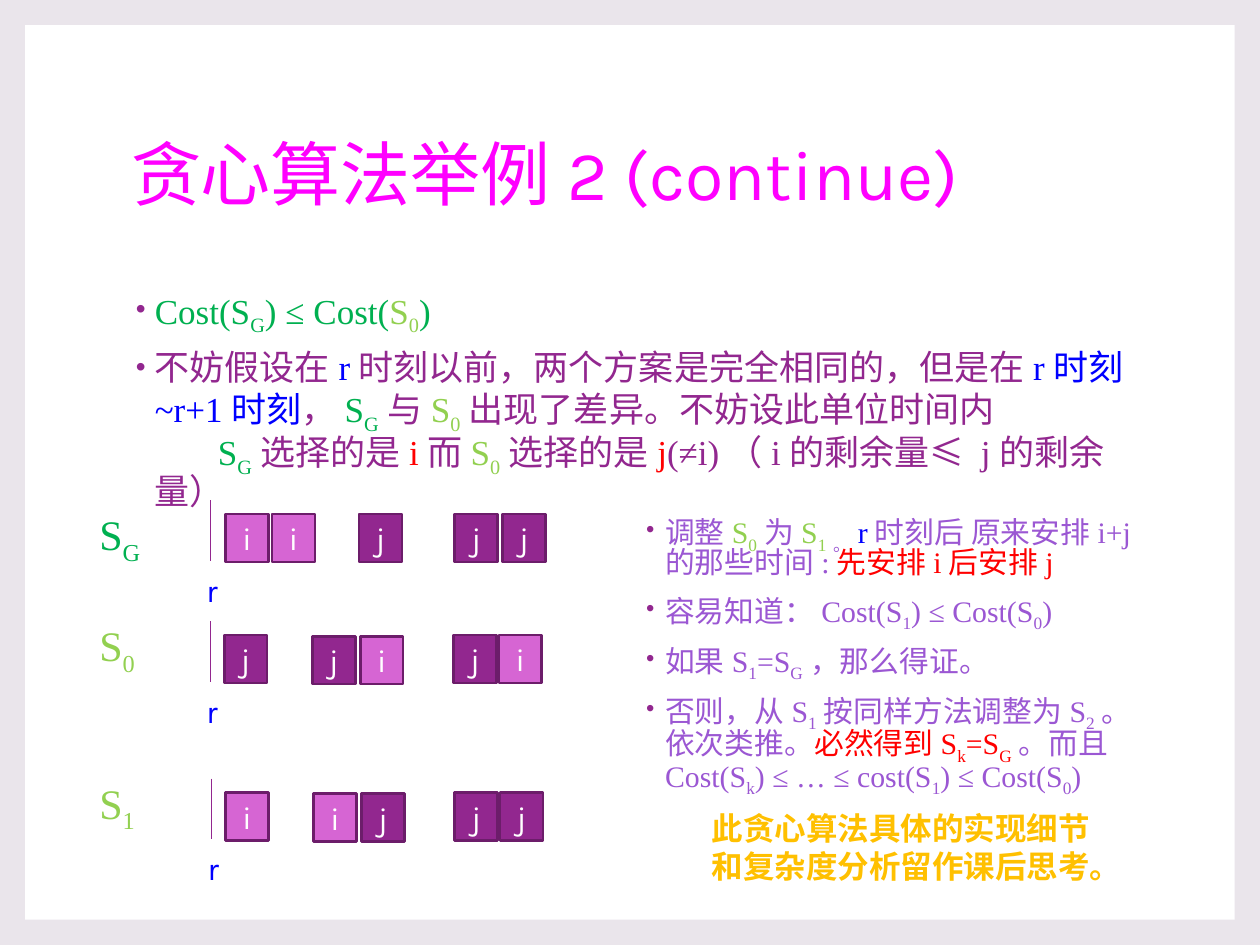
from pptx import Presentation
from pptx.dml.color import RGBColor
from pptx.enum.shapes import MSO_CONNECTOR, MSO_SHAPE
from pptx.enum.text import MSO_ANCHOR, PP_ALIGN
from pptx.oxml.ns import qn
from pptx.util import Inches, Pt
from lxml import etree

WHITE = RGBColor(0xFF, 0xFF, 0xFF)
BACKDROP = RGBColor(0xEA, 0xE5, 0xEB)
MAGENTA = RGBColor(0xFF, 0x00, 0xFF)
PURPLE = RGBColor(0x92, 0x27, 0x8F)
DARK = RGBColor(0x6C, 0x1D, 0x6A)
PINK = RGBColor(0xD6, 0x65, 0xD3)
VIOLET = RGBColor(0x9B, 0x57, 0xD3)
GREEN = RGBColor(0x00, 0xB0, 0x50)
LIME = RGBColor(0x92, 0xD0, 0x50)
BLUE = RGBColor(0x00, 0x00, 0xFF)
RED = RGBColor(0xFF, 0x00, 0x00)
GOLD = RGBColor(0xFF, 0xC0, 0x00)
SERIF, SANS = "Times New Roman", "Karla"

prs = Presentation()
prs.slide_width, prs.slide_height = Inches(10), Inches(7.5)
s = prs.slides.add_slide(prs.slide_layouts[5])
s.background.fill.solid()
s.background.fill.fore_color.rgb = BACKDROP


def add_runs(p, runs, size, font=SERIF, bold=None):
    """Each run is (text, subscript, colour); a newline in text breaks the line."""
    for text, sub, color in runs:
        for part, baseline in ((text, None), (sub, "-25000")):
            for n, line in enumerate(part.split("\n")):
                if n:
                    p.add_line_break()
                if not line:
                    continue
                r = p.add_run()
                r.text = line
                r.font.size, r.font.name, r.font.bold = Pt(size), font, bold
                r.font.color.rgb = color
                if baseline:
                    r.font._element.set("baseline", baseline)


def add_text(x, y, w, h, paragraphs, size, font=SERIF, bold=None, spacing=None):
    """A line spacing makes bulleted paragraphs; a (runs, indent) pair continues one."""
    tf = s.shapes.add_textbox(Inches(x), Inches(y), Inches(w), Inches(h)).text_frame
    tf.word_wrap = True
    for n, runs in enumerate(paragraphs):
        p = tf.add_paragraph() if n else tf.paragraphs[0]
        indent = None
        if isinstance(runs, tuple):
            runs, indent = runs
        if spacing:
            pPr = p._p.get_or_add_pPr()
            pPr.set("marL", str(Inches(0.19)))
            pPr.set("indent", str(Inches(-0.15 if indent is None else indent)))
            if indent is None:
                color = etree.SubElement(pPr, qn("a:buClr"))
                etree.SubElement(color, qn("a:srgbClr")).set("val", str(PURPLE))
                etree.SubElement(pPr, qn("a:buSzPct")).set("val", "80000")
                etree.SubElement(pPr, qn("a:buFont")).set("typeface", "Arial")
                etree.SubElement(pPr, qn("a:buChar")).set("char", "•")
            else:
                etree.SubElement(pPr, qn("a:buNone"))
            p.line_spacing = spacing
            p.space_before = Pt(10 if n and indent is None else 0)
        add_runs(p, runs, size, font, bold)


# White panel, behind everything
panel = s.shapes.add_shape(MSO_SHAPE.RECTANGLE, Inches(0.2), Inches(0.2), Inches(9.6), Inches(7.1))
panel.shadow.inherit = False
panel.fill.solid()
panel.fill.fore_color.rgb = WHITE
panel.line.fill.background()
s.shapes.element.insert(2, panel._element)

# Title
title = s.shapes.title
title.left, title.top, title.width, title.height = Inches(0.94), Inches(0.67), Inches(8.1), Inches(1.48)
title.text_frame.vertical_anchor = MSO_ANCHOR.MIDDLE
p = title.text_frame.paragraphs[0]
p.alignment, p.line_spacing = PP_ALIGN.LEFT, 0.9
add_runs(p, [("贪心算法举例2 (continue)", "", MAGENTA)], 40, SANS)

# Claim and assumption
add_text(0.94, 2.25, 8.1, 1.56, [
    [("Cost(S", "G", GREEN), (") ≤ Cost(", "", GREEN), ("S", "0", LIME), (")", "", GREEN)],
    [("不妨假设在", "", PURPLE), ("r", "", BLUE),
     ("时刻以前，两个方案是完全相同的，但是在", "", PURPLE), ("r时刻~r+1时刻", "", BLUE),
     ("，", "", PURPLE), ("S", "G", GREEN), ("与", "", PURPLE), ("S", "0", LIME),
     ("出现了差异。不妨设此单位时间内", "", PURPLE)],
    ([("S", "G", GREEN), ("选择的是", "", PURPLE), ("i", "", RED), ("而", "", PURPLE),
      ("S", "0", LIME), ("选择的是", "", PURPLE), ("j", "", RED),
      ("(≠i)（i的剩余量≤ j的剩余量）", "", PURPLE)], 0.5),
], 20, spacing=0.9)

# Schedules: subscript, label colour, label top, axis x, axis top, jobs as (x, drop, name)
schedules = [
    ("G", GREEN, 3.99, 1.67, 3.97,
     [(1.79, 0, "i"), (2.16, 0, "i"), (2.85, 0, "j"), (3.61, 0, "j"), (3.99, 0, "j")]),
    ("0", LIME, 4.87, 1.67, 4.93,
     [(1.78, 0, "j"), (2.48, 0.01, "j"), (2.86, 0.01, "i"), (3.6, 0, "j"), (3.96, 0, "i")]),
    ("1", LIME, 6.12, 1.68, 6.18,
     [(1.79, 0, "i"), (2.49, 0.01, "i"), (2.87, 0.01, "j"), (3.61, 0, "j"), (3.97, 0, "j")]),
]
for sub, color, label_top, x, top, jobs in schedules:
    add_text(0.69, label_top, 0.58, 0.5, [[("S", sub, color)]], 24)
    axis = s.shapes.add_connector(MSO_CONNECTOR.STRAIGHT, Inches(x), Inches(top),
                                  Inches(x), Inches(top + 0.48))
    axis.line.color.rgb, axis.line.width = PURPLE, Pt(0.79)
    etree.SubElement(axis._element.spPr, qn("a:effectLst"))
    add_text(x - 0.13, top + 0.51, 0.65, 0.4, [[("r", "", BLUE)]], 18, SANS)
    for left, drop, job in jobs:
        sp = s.shapes.add_shape(MSO_SHAPE.RECTANGLE, Inches(left), Inches(top + 0.11 + drop),
                                Inches(0.34), Inches(0.38))
        sp.shadow.inherit = False
        sp.fill.solid()
        sp.fill.fore_color.rgb = PINK if job == "i" else PURPLE
        sp.line.color.rgb, sp.line.width = DARK, Pt(1.5)
        sp.text_frame.vertical_anchor = MSO_ANCHOR.MIDDLE
        p = sp.text_frame.paragraphs[0]
        p.alignment = PP_ALIGN.CENTER
        add_runs(p, [(job, "", WHITE)], 18, SANS)

# Exchange argument
add_text(4.99, 4.06, 4.12, 2.24, [
    [("调整", "", VIOLET), ("S", "0", LIME), ("为", "", VIOLET), ("S", "1", LIME),
     ("", "。", VIOLET), ("r", "", BLUE), ("时刻后 原来安排i+j的那些时间:", "", VIOLET),
     ("先安排i后安排j", "", RED)],
    [("容易知道：Cost(S", "1", VIOLET), (") ≤ Cost(S", "0", VIOLET), (")", "", VIOLET)],
    [("如果S", "1", VIOLET), ("=S", "G", VIOLET), ("，那么得证。", "", VIOLET)],
    [("否则，从S", "1", VIOLET), ("按同样方法调整为S", "2", VIOLET), ("。依次类推。", "", VIOLET),
     ("必然得到S", "k", RED), ("=S", "G", RED), ("。而且\nCost(S", "k", VIOLET),
     (") ≤ … ≤ cost(S", "1", VIOLET), (") ≤ Cost(S", "0", VIOLET), (")", "", VIOLET)],
], 17, spacing=0.8)

# Closing remark
add_text(5.55, 6.37, 3.34, 0.71,
         [[("此贪心算法具体的实现细节和复杂度分析留作课后思考。", "", GOLD)]], 18, bold=True)

prs.save("out.pptx")
